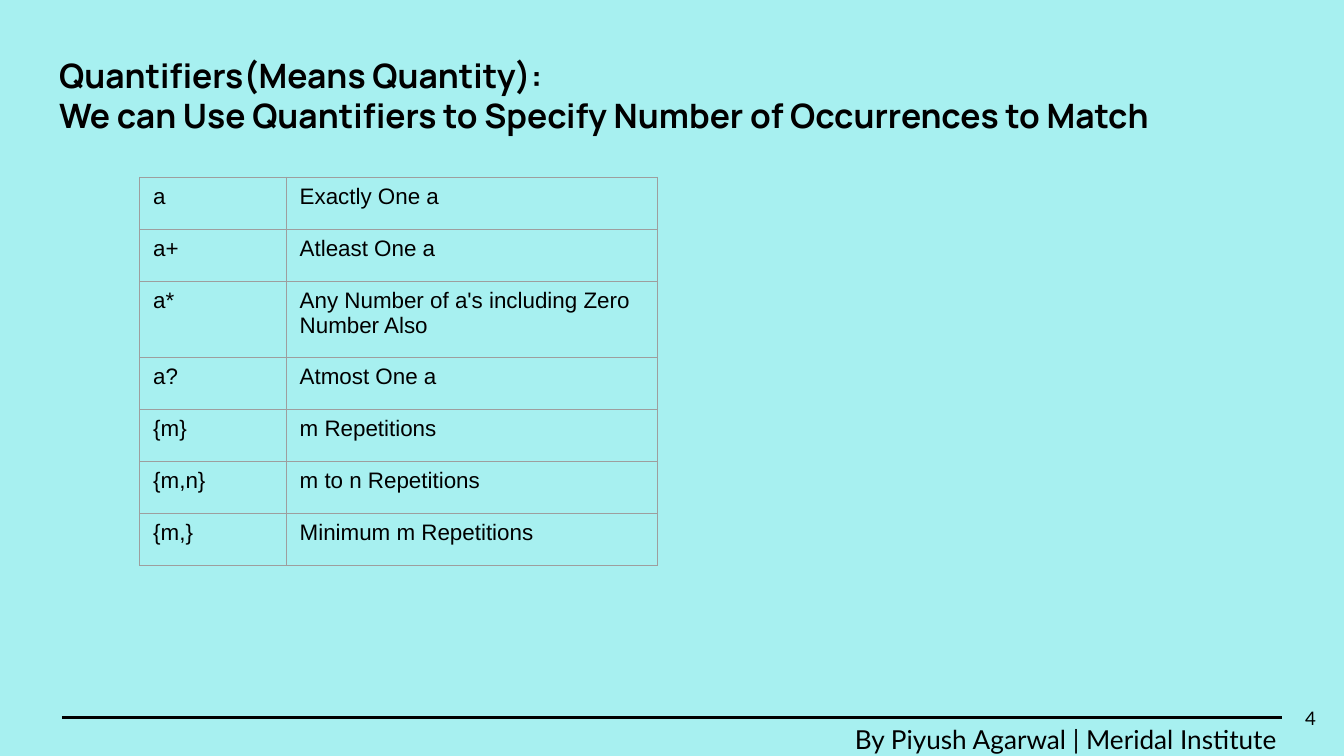
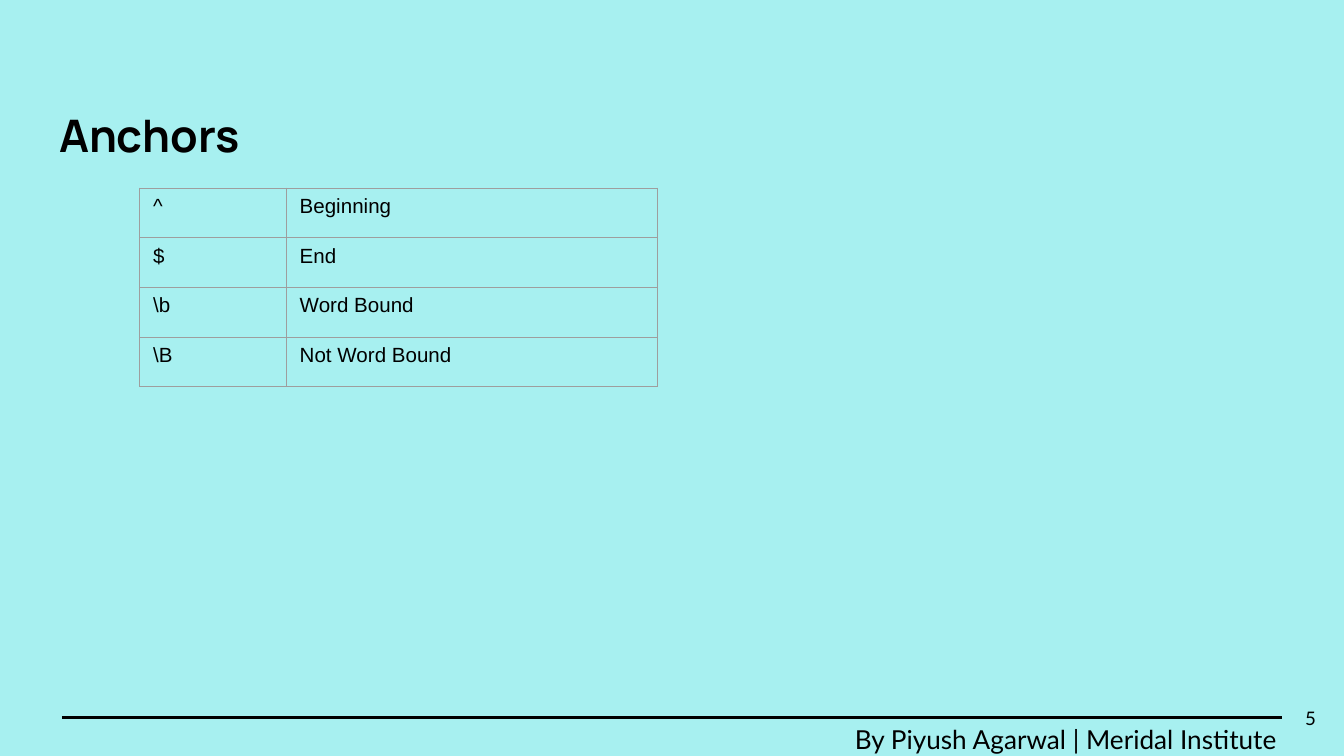
from lxml.etree import SubElement
from pptx import Presentation
from pptx.dml.color import RGBColor
from pptx.enum.shapes import MSO_CONNECTOR
from pptx.enum.text import MSO_ANCHOR, MSO_AUTO_SIZE, PP_ALIGN
from pptx.oxml.ns import qn
from pptx.util import Inches, Pt

AQUA = RGBColor(0xA7, 0xF0, 0xF0)
BLACK = RGBColor(0, 0, 0)
GREY = RGBColor(0x9E, 0x9E, 0x9E)

TITLE_FONT = "Manrope"
FOOTER_FONT = "Lato"
TABLE_FONT = "Arial"
CREDIT = "By Piyush Agarwal | Meridal Institute"
COLUMN_WIDTHS = (1.09, 2.76)

QUANTIFIERS = (
    ("a", "Exactly One a"),
    ("a+", "Atleast One a"),
    ("a*", "Any Number of a's including Zero Number Also"),
    ("a?", "Atmost One a"),
    ("{m}", "m Repetitions"),
    ("{m,n}", "m to n Repetitions"),
    ("{m,}", "Minimum m Repetitions"),
)
ANCHORS = (
    ("^", "Beginning"),
    ("$", "End"),
    ("\\b", "Word Bound"),
    ("\\B", "Not Word Bound"),
)


def add_span(para, text, font, size, bold=False):
    """Append a black run to a paragraph."""
    span = para.add_run()
    span.text = text
    span.font.name = font
    span.font.size = Pt(size)
    span.font.bold = bold
    span.font.color.rgb = BLACK


def prepare_frame(frame, anchor=MSO_ANCHOR.TOP):
    """Give a text frame the shared insets and wrapping."""
    frame.word_wrap = True
    frame.auto_size = MSO_AUTO_SIZE.NONE
    frame.vertical_anchor = anchor
    frame.margin_left = frame.margin_right = Inches(0.1)
    frame.margin_top = frame.margin_bottom = Inches(0.1)


def fill_title(page, lines, size, top, height):
    """Place the title and set its lines with breaks between them."""
    title = page.shapes.title
    title.left, title.top = Inches(0.34), Inches(top)
    title.width, title.height = Inches(9.32), Inches(height)
    prepare_frame(title.text_frame)
    para = title.text_frame.paragraphs[0]
    para.alignment = PP_ALIGN.LEFT
    para.line_spacing = 1.0
    for index, line in enumerate(lines):
        if index:
            para.add_line_break()
        add_span(para, line, TITLE_FONT, size, bold=True)


def outline_cell(cell):
    """Draw a thin grey border on all four sides of a cell."""
    properties = cell._tc.get_or_add_tcPr()
    for index, side in enumerate(("a:lnL", "a:lnR", "a:lnT", "a:lnB")):
        border = SubElement(properties, qn(side), w=str(Pt(0.75)))
        fill = SubElement(border, qn("a:solidFill"))
        SubElement(fill, qn("a:srgbClr"), val=str(GREY))
        properties.insert(index, border)


def add_pattern_table(page, entries, size, top, row_heights):
    """Add a table of patterns and their meanings."""
    box = page.shapes.add_table(
        len(entries), len(COLUMN_WIDTHS), Inches(1.04), Inches(top),
        Inches(sum(COLUMN_WIDTHS)), Inches(sum(row_heights)))
    table = box.table
    table.first_row = table.horz_banding = False
    for column, width in zip(table.columns, COLUMN_WIDTHS):
        column.width = Inches(width)
    for row, height, entry in zip(table.rows, row_heights, entries):
        row.height = Inches(height)
        for cell, text in zip(row.cells, entry):
            cell.margin_left = cell.margin_right = Inches(0.1)
            cell.margin_top = cell.margin_bottom = Inches(0.05)
            cell.fill.background()
            outline_cell(cell)
            add_span(cell.text_frame.paragraphs[0], text, TABLE_FONT, size)


def add_footer_text(page, text, size, left, top, width, anchor):
    """Add one right-aligned footer text."""
    box = page.shapes.add_textbox(
        Inches(left), Inches(top), Inches(width), Inches(0.43))
    prepare_frame(box.text_frame, anchor)
    para = box.text_frame.paragraphs[0]
    para.alignment = PP_ALIGN.RIGHT
    add_span(para, text, FOOTER_FONT, size)


def add_footer(page, number):
    """Add the rule, page number and credit."""
    rule = page.shapes.add_connector(
        MSO_CONNECTOR.STRAIGHT,
        Inches(0.46), Inches(5.34), Inches(9.54), Inches(5.34))
    rule.line.color.rgb = BLACK
    rule.line.width = Pt(1.5)
    SubElement(rule._element.spPr, qn("a:effectLst"))
    add_footer_text(page, str(number), 10, 9.29, 5.13, 0.6, MSO_ANCHOR.MIDDLE)
    add_footer_text(page, CREDIT, 14, 6.19, 5.28, 3.41, MSO_ANCHOR.TOP)


def add_page(deck, number):
    """Add a slide with the shared background and footer."""
    page = deck.slides.add_slide(deck.slide_layouts[5])
    page.background.fill.solid()
    page.background.fill.fore_color.rgb = AQUA
    add_footer(page, number)
    return page


def add_quantifiers_page(deck):
    """Build the quantifiers slide."""
    page = add_page(deck, 4)
    lines = (
        "Quantifiers(Means Quantity):",
        "We can Use Quantifiers to Specify Number of Occurrences to Match",
    )
    fill_title(page, lines, 18, 0.31, 0.93)
    tall = 0.57
    short = (2.89 - tall) / (len(QUANTIFIERS) - 1)
    heights = [tall if key == "a*" else short for key, _ in QUANTIFIERS]
    add_pattern_table(page, QUANTIFIERS, 12, 1.32, heights)


def add_anchors_page(deck):
    """Build the anchors slide."""
    page = add_page(deck, 5)
    fill_title(page, ("Anchors",), 24, 0.7, 0.54)
    add_pattern_table(page, ANCHORS, 11, 1.4, [0.37] * len(ANCHORS))


def main():
    """Build and save the deck."""
    deck = Presentation()
    deck.slide_width = Inches(10)
    deck.slide_height = deck.slide_width * 9 // 16
    add_quantifiers_page(deck)
    add_anchors_page(deck)
    deck.save("out.pptx")


if __name__ == "__main__":
    main()
